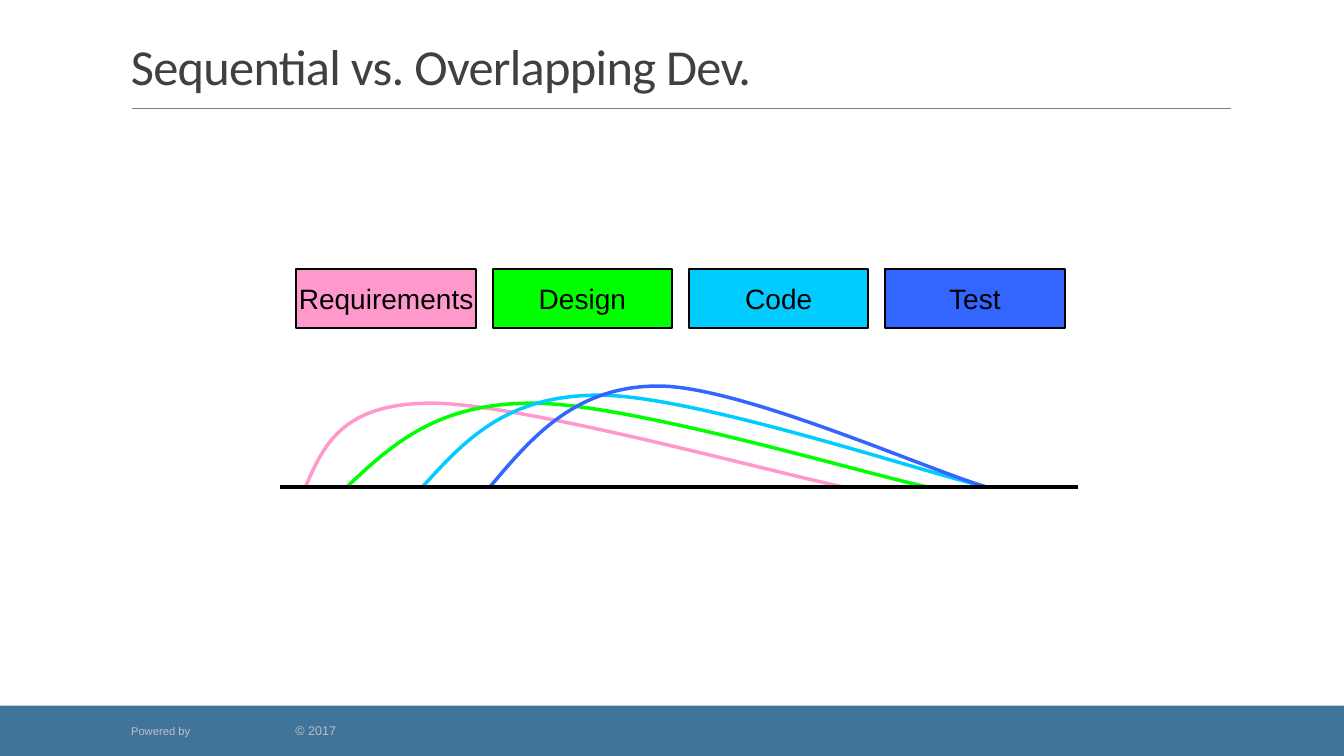
import pptx
import pptx.util
import pptx.dml.color
import pptx.enum.shapes
import pptx.enum.text
import pptx.oxml
import pptx.oxml.ns
import lxml.etree

Inches = pptx.util.Inches
Pt = pptx.util.Pt
Color = pptx.dml.color.RGBColor
Align = pptx.enum.text.PP_ALIGN
Anchor = pptx.enum.text.MSO_ANCHOR
qn = pptx.oxml.ns.qn

PINK = Color(0xFF, 0x99, 0xCC)
GREEN = Color(0x00, 0xFF, 0x00)
CYAN = Color(0x00, 0xCC, 0xFF)
BLUE = Color(0x33, 0x66, 0xFF)
BLACK = Color(0x00, 0x00, 0x00)
STEEL = Color(0x40, 0x74, 0x9B)
GRAY = Color(0x80, 0x80, 0x80)
DARK = Color(0x40, 0x40, 0x40)
PALE = Color(0xBF, 0xBF, 0xBF)

BASE = 4.83
FIRST, LAST = 2.94, 8.78
# Name, colour, then x and y of the start, peak and end with their handles
PHASES = [
    ("Requirements", PINK, [(3.03, BASE), (3.21, 4.42), (3.39, 4), (4.28, 4),
                            (5.17, 4), (7.68, 4.69), (8.36, BASE)]),
    ("Design", GREEN, [(3.44, BASE), (3.88, 4.42), (4.32, 4), (5.28, 4),
                       (6.24, 4), (8.54, 4.69), (9.19, BASE)]),
    ("Code", CYAN, [(4.19, BASE), (4.6, 4.38), (5.01, 3.92), (5.94, 3.92),
                    (6.88, 3.92), (9.14, 4.68), (9.78, BASE)]),
    ("Test", BLUE, [(4.86, BASE), (5.28, 4.33), (5.71, 3.83), (6.53, 3.83),
                    (7.35, 3.83), (9.22, 4.67), (9.78, BASE)]),
]


def write(shape, *parts, font="Arial", color=BLACK, align=Align.LEFT,
          anchor=Anchor.MIDDLE, wrap=True, inset=None, lead=None, track=None,
          tab=None):
    """Put one line in a shape; each part is a text and its size."""
    frame = shape.text_frame
    frame.word_wrap = wrap
    frame.vertical_anchor = anchor
    if inset is not None:
        frame.margin_left = frame.margin_right = Inches(inset)
        frame.margin_top = frame.margin_bottom = Inches(inset)
    line = frame.paragraphs[0]
    line.alignment = align
    if lead:
        line.line_spacing = lead
    if tab:
        props = line._p.get_or_add_pPr()
        stops = lxml.etree.SubElement(props, qn("a:tabLst"))
        lxml.etree.SubElement(stops, qn("a:tab"), pos=str(Inches(tab)), algn="l")
    for text, size in parts:
        run = line.add_run()
        run.text = text
        run.font.size = Pt(size)
        run.font.name = font
        run.font.color.rgb = color
        if track:
            run.font._element.set("spc", str(int(track * 100)))


def bend(shape):
    """Turn each three straight steps of an outline into one cubic curve."""
    steps = list(shape._element.iter(qn("a:lnTo")))
    for first in range(0, len(steps), 3):
        cubic = lxml.etree.Element(qn("a:cubicBezTo"))
        steps[first].addprevious(cubic)
        for step in steps[first:first + 3]:
            cubic.append(step[0])
            step.getparent().remove(step)


class Deck:
    """Hold the current slide and draw its elements in one style."""

    def __init__(self):
        """Start a wide deck with one blank slide."""
        self.show = pptx.Presentation()
        self.show.slide_width = Inches(13.33)
        self.show.slide_height = Inches(7.5)
        self.slide = self.show.slides.add_slide(self.show.slide_layouts[6])
        self.shapes = self.slide.shapes

    def box(self, left, top, width, height, fill, edge=None):
        """Draw a filled rectangle, with a border if edge is given."""
        kind = pptx.enum.shapes.MSO_SHAPE.RECTANGLE
        shape = self.shapes.add_shape(kind, Inches(left), Inches(top),
                                      Inches(width), Inches(height))
        shape.shadow.inherit = False
        shape.fill.solid()
        shape.fill.fore_color.rgb = fill
        if edge is None:
            shape.line.fill.background()
        else:
            shape.line.color.rgb = edge
            shape.line.width = Pt(1.5)
        return shape

    def label(self, left, top, width, height, *parts, **style):
        """Add a text box."""
        shape = self.shapes.add_textbox(Inches(left), Inches(top),
                                        Inches(width), Inches(height))
        write(shape, *parts, **style)

    def rule(self, left, right, y, color, weight):
        """Draw a level line."""
        kind = pptx.enum.shapes.MSO_CONNECTOR.STRAIGHT
        line = self.shapes.add_connector(kind, Inches(left), Inches(y),
                                         Inches(right), Inches(y))
        line.line.color.rgb = color
        line.line.width = Pt(weight)
        lxml.etree.SubElement(line._element.spPr, qn("a:effectLst"))

    def curve(self, nodes, color):
        """Draw an open curve through the nodes."""
        points = [(Inches(x), Inches(y)) for x, y in nodes]
        pen = self.shapes.build_freeform(*points[0])
        pen.add_line_segments(points[1:], close=False)
        shape = pen.convert_to_shape()
        bend(shape)
        shape.shadow.inherit = False
        shape.fill.background()
        shape.line.color.rgb = color
        shape.line.width = Pt(2.5)


def main():
    """Build the slide and save it."""
    deck = Deck()
    deck.box(0, 7, 13.33, 0.5, STEEL)
    deck.rule(1.31, 12.21, 1.08, GRAY, 0.5)
    deck.label(1.25, 7.12, 3.1, 0.25, ("Powered by", 8), ("\t© 2017", 9),
               color=PALE, inset=0.05, tab=1.63)
    deck.label(1.2, 0.31, 11, 0.69, ("Sequential vs. Overlapping Dev.", 36),
               font="Calibri", color=DARK, anchor=Anchor.BOTTOM, lead=0.85,
               track=-0.5)
    for name, color, nodes in PHASES:
        deck.curve(nodes, color)
    deck.rule(2.78, 10.69, BASE, BLACK, 2.5)
    pitch = (LAST - FIRST) / (len(PHASES) - 1)
    for index, (name, color, nodes) in enumerate(PHASES):
        box = deck.box(FIRST + index * pitch, 2.67, 1.78, 0.58, color, BLACK)
        write(box, (name, 20), align=Align.CENTER, wrap=False)
    deck.show.save("out.pptx")


main()
